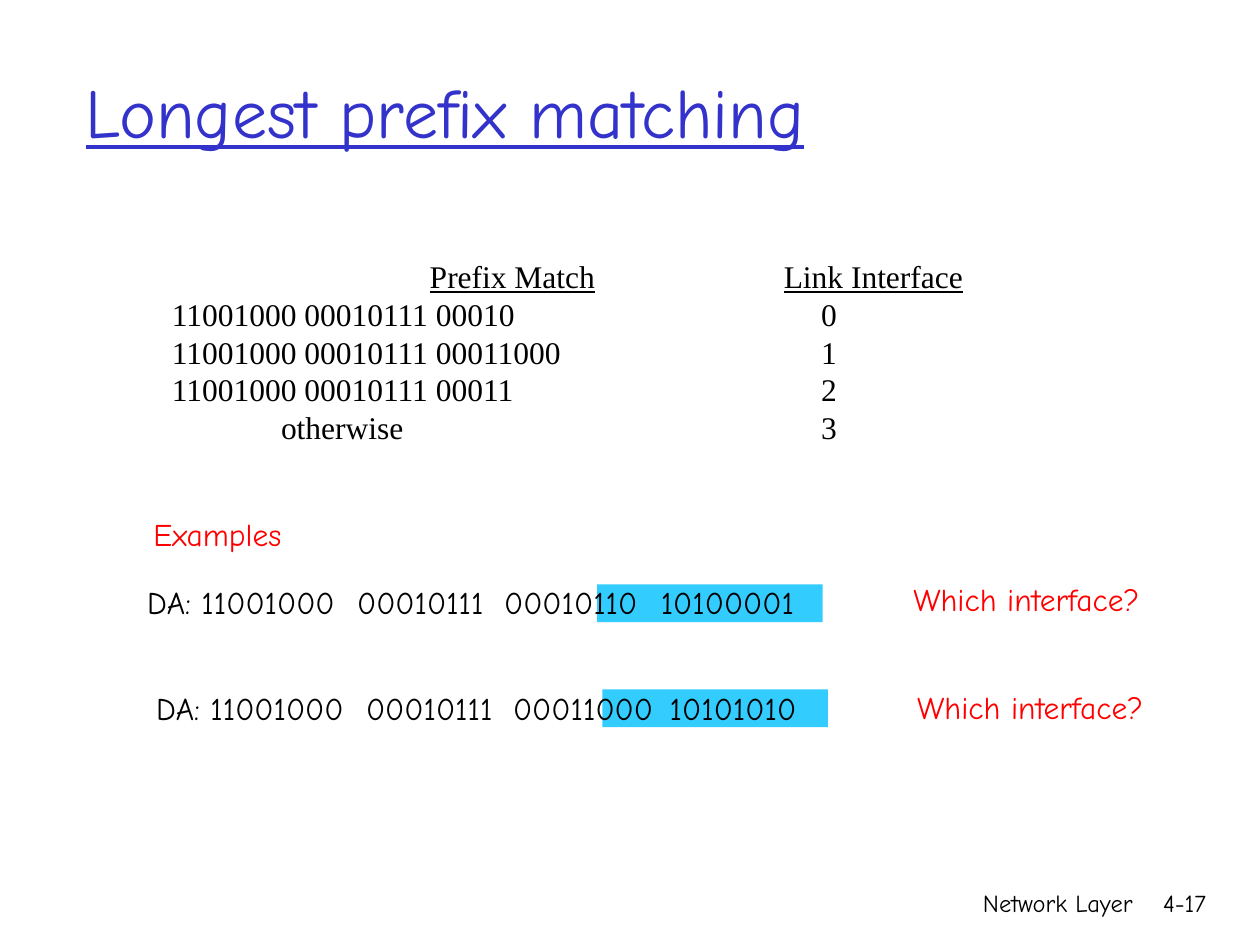
from lxml import etree
from pptx import Presentation
from pptx.dml.color import RGBColor
from pptx.enum.shapes import MSO_SHAPE
from pptx.enum.text import MSO_ANCHOR, PP_ALIGN
from pptx.oxml.ns import qn
from pptx.util import Pt

RECT = MSO_SHAPE.RECTANGLE
TOP, MIDDLE = MSO_ANCHOR.TOP, MSO_ANCHOR.MIDDLE
LEFT, RIGHT = PP_ALIGN.LEFT, PP_ALIGN.RIGHT

BLACK = RGBColor(0x00, 0x00, 0x00)
BLUE = RGBColor(0x33, 0x33, 0xCC)
RED = RGBColor(0xFF, 0x00, 0x00)
CYAN = RGBColor(0x33, 0xCC, 0xFF)
HAND, SERIF = "Comic Neue", "Times New Roman"

# Content
TITLE = "Longest prefix matching"
HEADER = ("Prefix Match", "Link Interface")
ROUTES = [
    ("11001000 00010111 00010", "0"),
    ("11001000 00010111 00011000", "1"),
    ("11001000 00010111 00011", "2"),
    ("otherwise", "3"),
]
QUESTION = "Which interface?"
# address octets; left and top of address, highlight and question
EXAMPLES = [
    (("11001000", "00010111", "00010110", "10100001"),
     (77, 329.8), (341.2, 334), (514.8, 328.2)),
    (("11001000", "00010111", "00011000", "10101010"),
     (82.1, 390.2), (344.2, 394), (517, 389.7)),
]

# Tab stops, measured from the text edge of each box
HEADER_TABS = (192.4, 394.7)
ROUTE_TABS = (45, 416)
OTHERWISE_TABS = (107.4, 416)
OCTET_TABS = (120, 204, 293.5)


def add_box(s, left, top, width, height, anchor=TOP):
    tf = s.shapes.add_textbox(Pt(left), Pt(top), Pt(width), Pt(height)).text_frame
    tf.word_wrap = True
    tf.vertical_anchor = anchor
    return tf


def set_tabs(p, stops):
    tab_list = etree.SubElement(p._p.get_or_add_pPr(), qn("a:tabLst"))
    for stop in stops:
        etree.SubElement(tab_list, qn("a:tab"), pos=str(int(Pt(stop))), algn="l")


def add_run(p, text, color=BLACK, **formats):
    r = p.add_run()
    r.text = text
    r.font.color.rgb = color
    for name, value in ({"name": HAND, "size": Pt(18)} | formats).items():
        setattr(r.font, name, value)


def add_label(s, text, box, color=BLACK, align=LEFT, anchor=TOP, **formats):
    p = add_box(s, *box, anchor).paragraphs[0]
    p.alignment = align
    add_run(p, text, color, **formats)
    return p


prs = Presentation()
prs.slide_width, prs.slide_height = Pt(720), Pt(540)
s = prs.slides.add_slide(prs.slide_layouts[6])

# Footer and title
add_label(s, "Network Layer", (426.2, 504, 228.2, 36), align=RIGHT, size=Pt(14))
add_label(s, "4-17", (643, 504, 53.3, 36), align=RIGHT, size=Pt(14))
add_label(s, TITLE, (41.8, 18, 612, 90), BLUE, anchor=MIDDLE,
          size=Pt(40), underline=True)

# Forwarding entries, aligned by tab stops
tf = add_box(s, 46.1, 143.3, 514.8, 115.2, MIDDLE)
for i, cells in enumerate([HEADER] + ROUTES):
    p = tf.paragraphs[0] if i == 0 else tf.add_paragraph()
    p.line_spacing = Pt(21.6)
    if cells is HEADER:
        stops = HEADER_TABS
    else:
        stops = OTHERWISE_TABS if cells[0] == "otherwise" else ROUTE_TABS
    set_tabs(p, stops)
    for cell in cells:
        add_run(p, "\t", name=SERIF)
        add_run(p, cell, name=SERIF, underline=cells is HEADER)

# Example addresses with the unmatched bits highlighted
add_label(s, "Examples", (80.6, 290.9, 92.9, 28.8), RED)
for octets, address_at, highlight_at, question_at in EXAMPLES:
    sp = s.shapes.add_shape(RECT, *map(Pt, highlight_at), Pt(128.9), Pt(21.6))
    sp.shadow.inherit = False
    sp.fill.solid()
    sp.fill.fore_color.rgb = CYAN
    sp.line.fill.background()
    p = add_label(s, "DA: " + "\t".join(octets), (*address_at, 403.9, 28.8))
    set_tabs(p, OCTET_TABS)
    add_label(s, QUESTION, (*question_at, 162, 28.8), RED)

prs.save("out.pptx")
